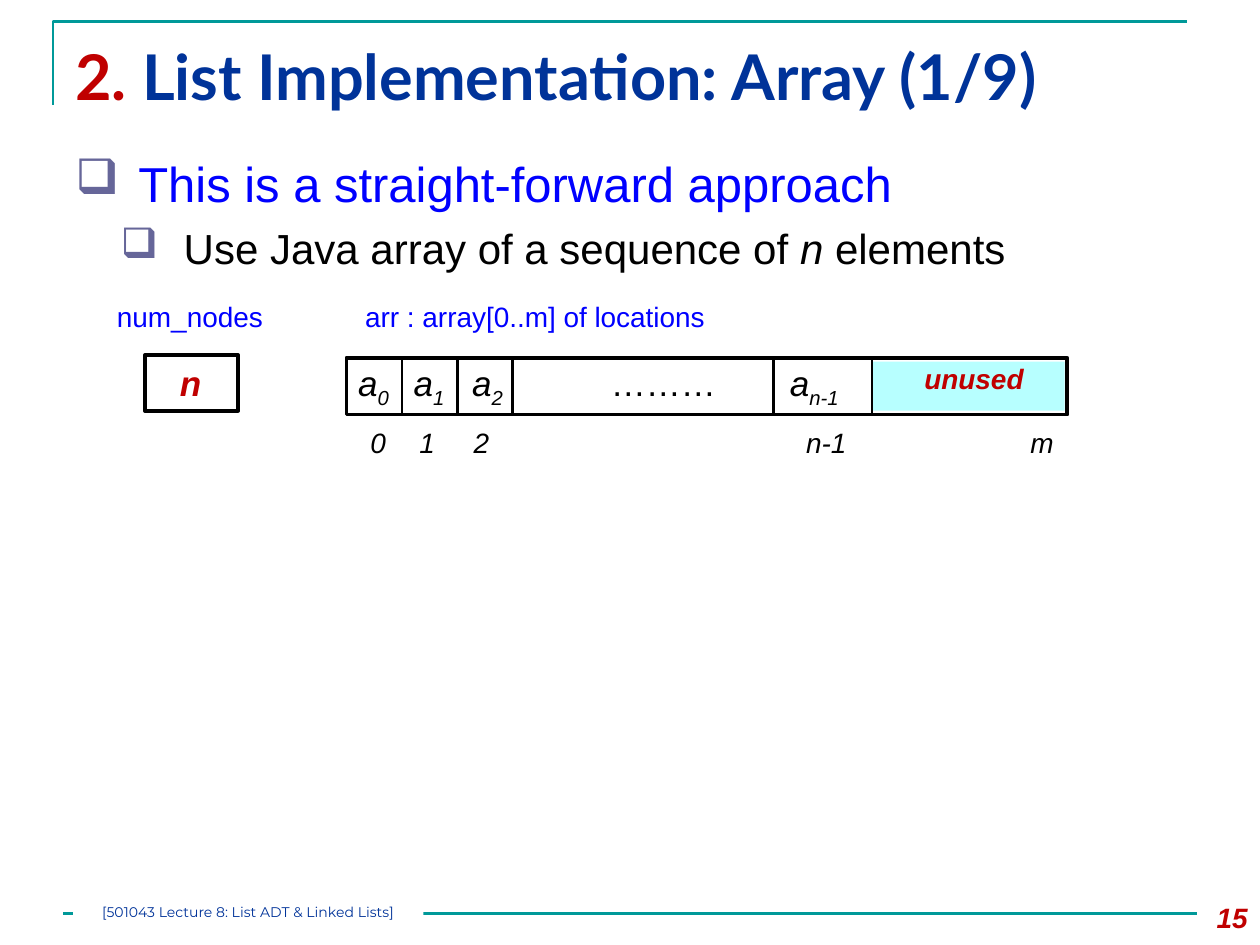
import pptx
import pptx.util
import pptx.dml.color
import pptx.enum.shapes
import pptx.enum.text
import pptx.oxml.ns
import lxml.etree

W, H = 10, 7.5
TEAL, NAVY, RED, BLUE, BLACK = "009999", "003399", "C00000", "0000FF", "000000"
LEFT, CENTER, RIGHT = (pptx.enum.text.PP_ALIGN.LEFT, pptx.enum.text.PP_ALIGN.CENTER,
                       pptx.enum.text.PP_ALIGN.RIGHT)

TITLE = [("2. ", {"color": RED}), ("List Implementation: Array (1/9)", {})]
BULLETS = [
    (0, 28, BLUE, [("This is a straight-forward approach", {})]),
    (1, 24, BLACK, [("Use Java array of a sequence of ", {}), ("n", {"italic": True}),
                    (" elements", {})]),
]
FOOTER = "[501043 Lecture 8: List ADT & Linked Lists]"
PAGE = "15"

LABEL_Y, CELL_Y, INDEX_Y = 2.33, 2.82, 3.33
ARRAY_X, ARRAY_Y, ARRAY_W, ARRAY_H = 2.75, 2.84, 5.72, 0.45
UNUSED_X = 6.92
CELL_W = 0.44
DIVIDERS = [ARRAY_X + CELL_W * i for i in (1, 2, 3)] + [6.14, UNUSED_X]
LABELS = [("num_nodes", 0.83, 1.37), ("arr : array[0..m] of locations", 2.8, 3.46)]
CELLS = [("0", 2.67, 0.59, CENTER), ("1", 3.14, 0.53, CENTER),
         ("2", 3.64, 0.46, CENTER), ("n-1", 6.17, 0.62, LEFT)]
INDEXES = [("0", 2.84, 0.32), ("1", 3.23, 0.32), ("2", 3.66, 0.32),
           ("n-1", 6.3, 0.52), ("m", 8.08, 0.39)]

inch, pt = pptx.util.Inches, pptx.util.Pt


def rgb(value):
    return pptx.dml.color.RGBColor.from_string(value)


def add_runs(p, runs, size, color, font="Arial", bold=False, italic=False):
    for text, style in runs:
        r = p.add_run()
        r.text = text
        f = r.font
        f.name, f.size = font, pt(size)
        f.bold, f.italic = bold, style.get("italic", italic)
        f.color.rgb = rgb(style.get("color", color))
        if style.get("sub"):
            r._r.get_or_add_rPr().set("baseline", "-25000")


def add_text(x, y, w, h, runs, size, color, align=LEFT, wrap=True, **style):
    sp = slide.shapes.add_textbox(inch(x), inch(y), inch(w), inch(h))
    tf = sp.text_frame
    tf.word_wrap = wrap
    p = tf.paragraphs[0]
    p.alignment = align
    add_runs(p, [(runs, {})] if isinstance(runs, str) else runs, size, color, **style)


def add_line(x1, y1, x2, y2, color):
    sp = slide.shapes.add_connector(pptx.enum.shapes.MSO_CONNECTOR.STRAIGHT,
                                    inch(x1), inch(y1), inch(x2), inch(y2))
    sp.line.color.rgb, sp.line.width = rgb(color), pt(1.5)
    lxml.etree.SubElement(sp._element.spPr, pptx.oxml.ns.qn("a:effectLst"))


def add_rect(x, y, w, h, fill=None, line=None):
    sp = slide.shapes.add_shape(pptx.enum.shapes.MSO_SHAPE.RECTANGLE,
                                inch(x), inch(y), inch(w), inch(h))
    sp.shadow.inherit = False
    if fill:
        sp.fill.solid()
        sp.fill.fore_color.rgb = rgb(fill)
    else:
        sp.fill.background()
    if line:
        sp.line.color.rgb, sp.line.width = rgb(line), pt(2.25)
    else:
        sp.line.fill.background()
    return sp


def add_bullet(p, level):
    pPr = p._p.get_or_add_pPr()
    pPr.set("marL", str(inch((0.5, 0.86)[level])))
    pPr.set("indent", str(inch(-0.5)))
    clr = lxml.etree.SubElement(pPr, pptx.oxml.ns.qn("a:buClr"))
    lxml.etree.SubElement(clr, pptx.oxml.ns.qn("a:srgbClr")).set("val", "666699")
    lxml.etree.SubElement(pPr, pptx.oxml.ns.qn("a:buChar")).set("char", "❑")


prs = pptx.Presentation()
prs.slide_width, prs.slide_height = inch(W), inch(H)
slide = prs.slides.add_slide(prs.slide_layouts[6])

fb = slide.shapes.build_freeform(inch(0.42), inch(0.83))
fb.add_line_segments([(inch(0.42), inch(0.17)), (inch(9.42), inch(0.17))], close=False)
sp = fb.convert_to_shape()
sp.shadow.inherit = False
sp.fill.background()
sp.line.color.rgb, sp.line.width = rgb(TEAL), pt(1.5)
add_line(0.5, 7.25, W - 0.5, 7.25, TEAL)

add_text(0.5, 0.25, 9, 0.86, TITLE, 36, NAVY, font="Lato", bold=True)
add_text(9.33, 7.1, 0.67, 0.4, PAGE, 16, RED, RIGHT, bold=True, italic=True)

tf = slide.shapes.add_textbox(inch(0.5), inch(1.17), inch(9), inch(1.17)).text_frame
tf.word_wrap = True
for i, (level, size, color, runs) in enumerate(BULLETS):
    p = tf.add_paragraph() if i else tf.paragraphs[0]
    p.level = level
    if i:
        p.space_before = pt(6)
    add_bullet(p, level)
    add_runs(p, runs, size, color)

add_rect(1.15, CELL_Y, 0.74, 0.44, line=BLACK)
add_text(1.33, CELL_Y, 0.37, 0.43, "n", 20, RED, wrap=False, bold=True, italic=True)
add_rect(ARRAY_X, ARRAY_Y, ARRAY_W, ARRAY_H, line=BLACK)
add_rect(UNUSED_X, 2.87, 1.53, 0.39, fill="B7FFFF")
for x in DIVIDERS:
    add_line(x, 2.86, x, 3.28, BLACK)
for text, x, w in LABELS:
    add_text(x, LABEL_Y, w, 0.37, text, 16, BLUE)
for sub, x, w, align in CELLS:
    add_text(x, CELL_Y, w, 0.44, [("a", {}), (sub, {"sub": True})], 20, BLACK, align,
             wrap=False, italic=True)
add_text(4.75, CELL_Y, 1.04, 0.44, "………", 20, BLACK, wrap=False)
add_text(7.17, CELL_Y, 1.12, 0.37, "unused", 16, RED, CENTER, bold=True, italic=True)
for text, x, w in INDEXES:
    add_text(x, INDEX_Y, w, 0.37, text, 16, BLACK, wrap=False, italic=True)

sp = add_rect(0.58, 7.17, 2.78, 0.2, fill="FFFFFF")
tf = sp.text_frame
tf.margin_left = tf.margin_right = tf.margin_top = tf.margin_bottom = 0
tf.vertical_anchor = pptx.enum.text.MSO_ANCHOR.TOP
tf.paragraphs[0].alignment = CENTER
add_runs(tf.paragraphs[0], [(FOOTER, {})], 8, NAVY, font="Montserrat")

prs.save("out.pptx")
